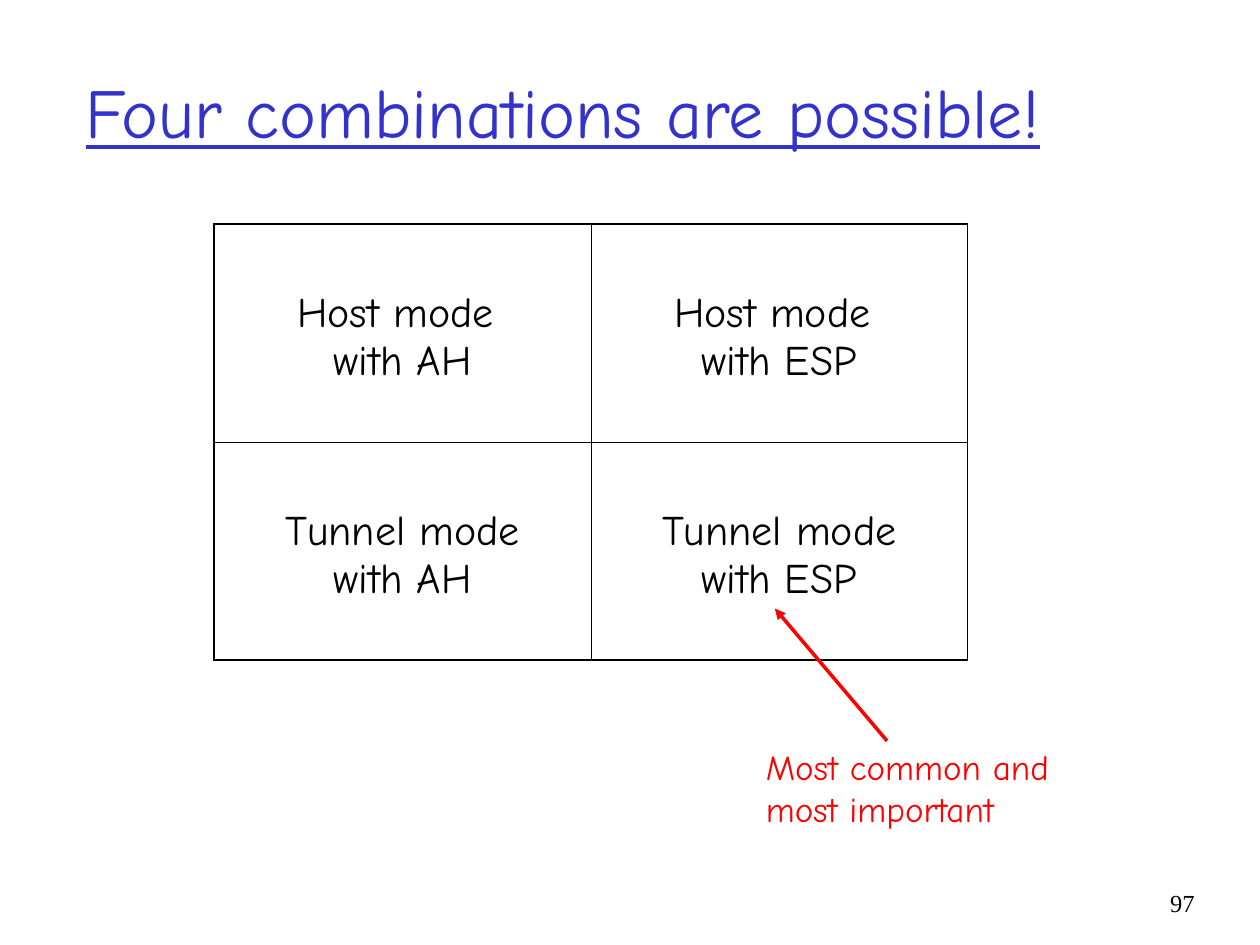
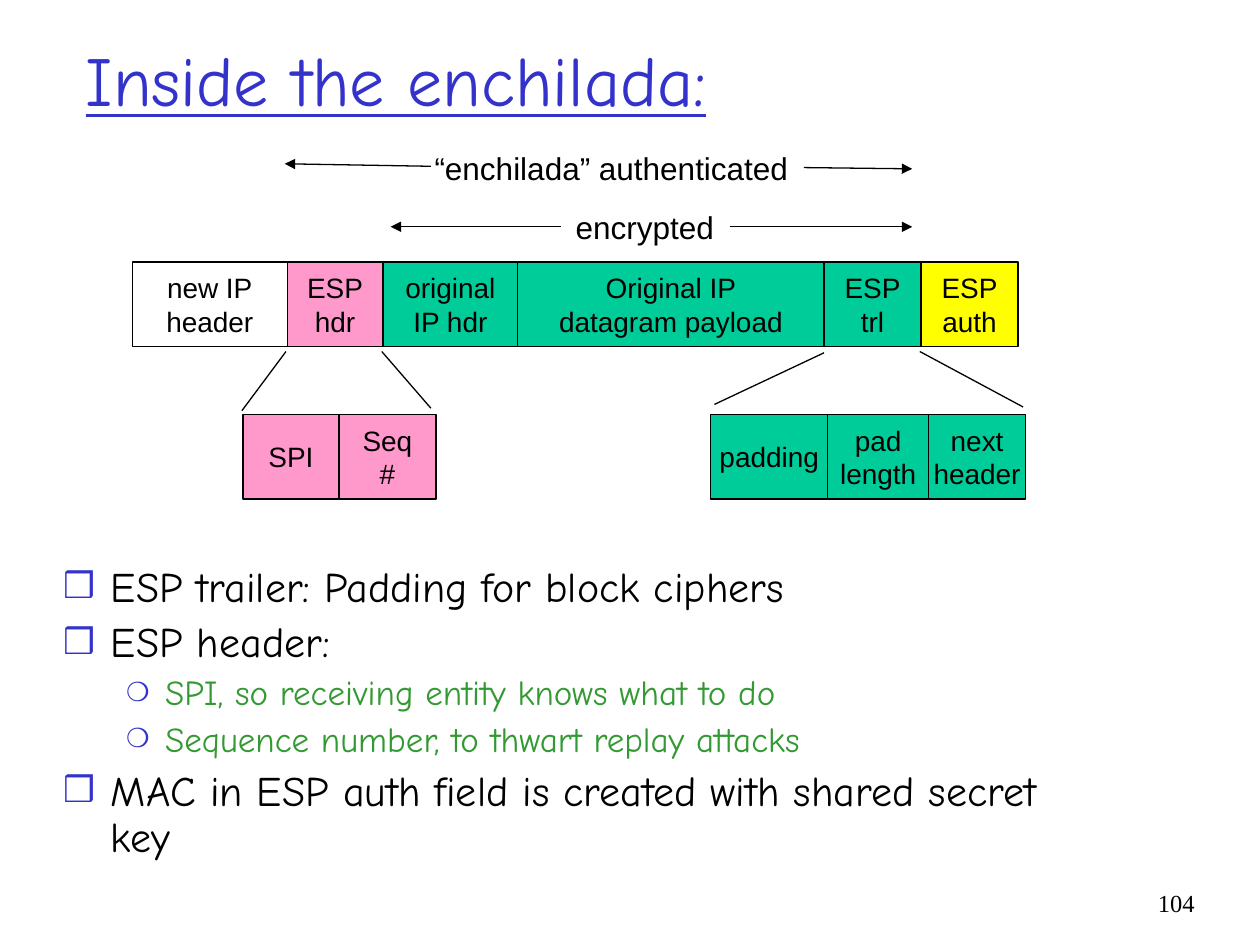
"""Build two slides on the IPsec modes and the layout of an ESP packet."""
from lxml import etree
from pptx import Presentation
from pptx.dml.color import RGBColor
from pptx.enum.shapes import MSO_CONNECTOR, MSO_SHAPE
from pptx.enum.text import MSO_ANCHOR, MSO_AUTO_SIZE, PP_ALIGN
from pptx.oxml.ns import qn
from pptx.util import Inches, Pt

LEFT, CENTER, RIGHT = PP_ALIGN.LEFT, PP_ALIGN.CENTER, PP_ALIGN.RIGHT
MIDDLE = MSO_ANCHOR.MIDDLE
NO_FIT = MSO_AUTO_SIZE.NONE
RECTANGLE = MSO_SHAPE.RECTANGLE
STRAIGHT = MSO_CONNECTOR.STRAIGHT

COLORS = {
    "title": "3333CC",
    "text": "000000",
    "detail": "339933",
    "callout": "FF0000",
    "header": "FF99CC",
    "encrypted": "00CC99",
    "auth": "FFFF00",
}
HAND, SANS, SERIF = "Comic Neue", "Arial", "Times New Roman"


def write_text(frame, text, font, size, color="text", align=LEFT):
    frame.text = text
    for para in frame.paragraphs:
        para.alignment = align
        for run in para.runs:
            run.font.name = font
            run.font.size = Pt(size)
            run.font.color.rgb = RGBColor.from_string(COLORS[color])


def draw_line(page, start, end, color="text", width=0.75, arrow=False):
    points = [Inches(value) for value in (*start, *end)]
    line = page.shapes.add_connector(STRAIGHT, *points)
    line.line.color.rgb = RGBColor.from_string(COLORS[color])
    line.line.width = Pt(width)
    properties = line._element.spPr
    if arrow:
        etree.SubElement(properties.find(qn("a:ln")), qn("a:tailEnd"), type="triangle")
    etree.SubElement(properties, qn("a:effectLst"))


deck = Presentation()
deck.slide_width, deck.slide_height = Inches(10), Inches(7.5)

pages = []
for layout, title_text, title_top, number in (
    (5, "Four combinations are possible!", 0.25, "97"),
    (1, "Inside the enchilada:", 0, "104"),
):
    page = deck.slides.add_slide(deck.slide_layouts[layout])
    title = page.shapes.title
    title.left, title.top = Inches(0.58), Inches(title_top)
    title.width, title.height = Inches(8.5), Inches(1.25)
    write_text(title.text_frame, title_text, HAND, 40, "title")
    title.text_frame.vertical_anchor = MIDDLE
    title.text_frame.auto_size = NO_FIT
    title.text_frame.paragraphs[0].runs[0].font.underline = True
    number_box = page.shapes.add_textbox(Inches(9.08), Inches(7), Inches(0.5), Inches(0.5))
    number_box.text_frame.word_wrap = True
    write_text(number_box.text_frame, number, SERIF, 14, align=RIGHT)
    pages.append(page)
modes_page, packet_page = pages

modes = (
    ("Host mode \vwith AH", "Host mode \vwith ESP"),
    ("Tunnel mode\vwith AH", "Tunnel mode\vwith ESP"),
)
table = modes_page.shapes.add_table(
    2, 2, Inches(1.7), Inches(1.78), Inches(5.98), Inches(3.46)
).table
table.first_row = table.horz_banding = False
for row, row_modes in enumerate(modes):
    for column, mode in enumerate(row_modes):
        cell = table.cell(row, column)
        write_text(cell.text_frame, mode, HAND, 24, align=CENTER)
        cell.vertical_anchor = MIDDLE
        cell.margin_top = Inches(0.12)
        properties = cell._tc.get_or_add_tcPr()
        outer_sides = ("lnL", "lnR")[column], ("lnT", "lnB")[row]
        for side in ("lnL", "lnR", "lnT", "lnB"):
            width = Pt(1.08 if side in outer_sides else 0.45)
            border = etree.SubElement(properties, qn("a:" + side), w=str(width))
            fill = etree.SubElement(border, qn("a:solidFill"))
            etree.SubElement(fill, qn("a:srgbClr"), val=COLORS["text"])
        cell.fill.background()

draw_line(modes_page, (7.04, 5.88), (6.15, 4.83), "callout", 2, arrow=True)

labels = (
    (modes_page, "Most common and\vmost important", 5.98, 5.87, 2.45, 0.77, HAND, 20, "callout"),
    (packet_page, "encrypted", 4.47, 1.6, 1.3, 0.4, SANS, 18, "text"),
    (packet_page, "“enchilada” authenticated", 3.35, 1.13, 3.01, 0.4, SANS, 18, "text"),
)
for page, text, left, top, width, height, font, size, color in labels:
    label = page.shapes.add_textbox(Inches(left), Inches(top), Inches(width), Inches(height))
    label.text_frame.word_wrap = False
    write_text(label.text_frame, text, font, size, color)

field_rows = (
    (1.05, 2.08, (
        ("new IP\vheader", 1.23, None),
        ("ESP\nhdr", 0.76, "header"),
        ("original\vIP hdr", 1.07, "encrypted"),
        ("Original IP\ndatagram payload", 2.43, "encrypted"),
        ("ESP\ntrl", 0.77, "encrypted"),
        ("ESP\nauth", 0.77, "auth"),
    )),
    (5.64, 3.29, (
        ("padding", 0.93, "encrypted"),
        ("pad\vlength", 0.8, "encrypted"),
        ("next\vheader", 0.77, "encrypted"),
    )),
    (1.93, 3.29, (
        ("SPI", 0.76, "header"),
        ("Seq\n#", 0.77, "header"),
    )),
)
for left, top, fields in field_rows:
    for text, width, color in fields:
        box = packet_page.shapes.add_shape(
            RECTANGLE, Inches(left), Inches(top), Inches(width), Inches(0.67)
        )
        box.shadow.inherit = False
        box.line.color.rgb = RGBColor.from_string(COLORS["text"])
        box.line.width = Pt(0.75)
        if color:
            box.fill.solid()
            box.fill.fore_color.rgb = RGBColor.from_string(COLORS[color])
        else:
            box.fill.background()
        box.text_frame.word_wrap = False
        box.text_frame.vertical_anchor = MIDDLE
        write_text(box.text_frame, text, SANS, 16, align=CENTER)
        left += width

span_arrows = (
    ((5.79, 1.8), (7.24, 1.8)),
    ((4.45, 1.8), (3.1, 1.8)),
    ((6.38, 1.33), (7.24, 1.34)),
    ((3.42, 1.32), (2.26, 1.3)),
)
for start, end in span_arrows:
    draw_line(packet_page, start, end, arrow=True)

zoom_lines = (
    ((5.67, 3.21), (6.54, 2.8)),
    ((8.12, 3.23), (7.3, 2.79)),
    ((1.92, 3.26), (2.27, 2.79)),
    ((3.03, 2.79), (3.42, 3.24)),
)
for start, end in zoom_lines:
    draw_line(packet_page, start, end)

notes = (
    ("ESP trailer: Padding for block ciphers", 0),
    ("ESP header:", 0),
    ("SPI, so receiving entity knows what to do", 1),
    ("Sequence number, to thwart replay attacks", 1),
    ("MAC in ESP auth field is created with shared secret key", 0),
)
level_styles = (
    ("❒", 85, 0.38, 0.38, 6, 24, "text"),
    ("❍", 75, 0.81, 0.31, 5, 20, "detail"),
)
body = packet_page.placeholders[1]
body.left, body.top = Inches(0.4), Inches(4.44)
body.width, body.height = Inches(8.5), Inches(2.59)
body.text_frame.text = "\n".join(text for text, level in notes)
body.text_frame.auto_size = NO_FIT
for index, (para, (text, level)) in enumerate(zip(body.text_frame.paragraphs, notes)):
    bullet, bullet_size, margin, hanging, space, size, color = level_styles[level]
    properties = para._p.get_or_add_pPr()
    properties.set("marL", str(Inches(margin)))
    properties.set("indent", str(-Inches(hanging)))
    bullet_color = etree.SubElement(properties, qn("a:buClr"))
    etree.SubElement(bullet_color, qn("a:srgbClr"), val=COLORS["title"])
    etree.SubElement(properties, qn("a:buSzPct"), val=str(bullet_size * 1000))
    etree.SubElement(properties, qn("a:buChar"), char=bullet)
    para.level = level
    para.line_spacing = 0.9
    para.space_before = Pt(space if index else 0)
    font = para.runs[0].font
    font.name, font.size = HAND, Pt(size)
    font.color.rgb = RGBColor.from_string(COLORS[color])

deck.save("out.pptx")
